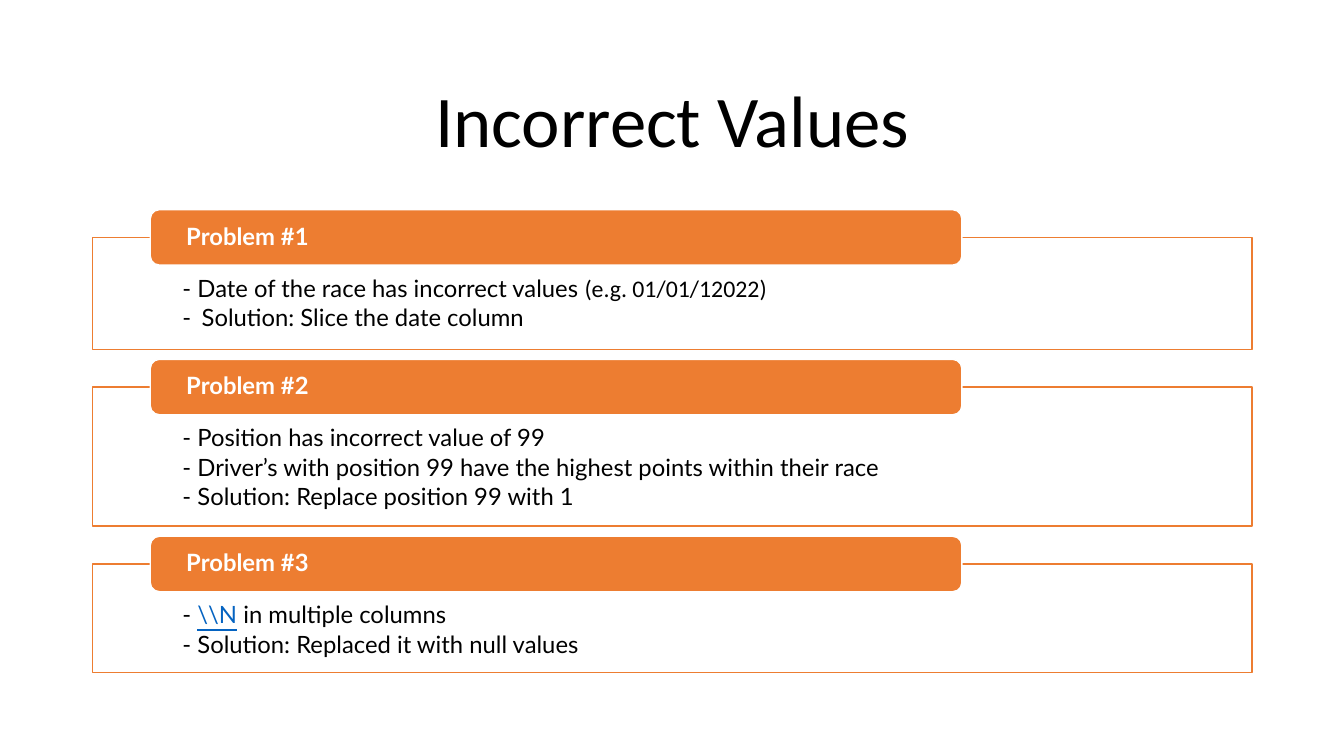
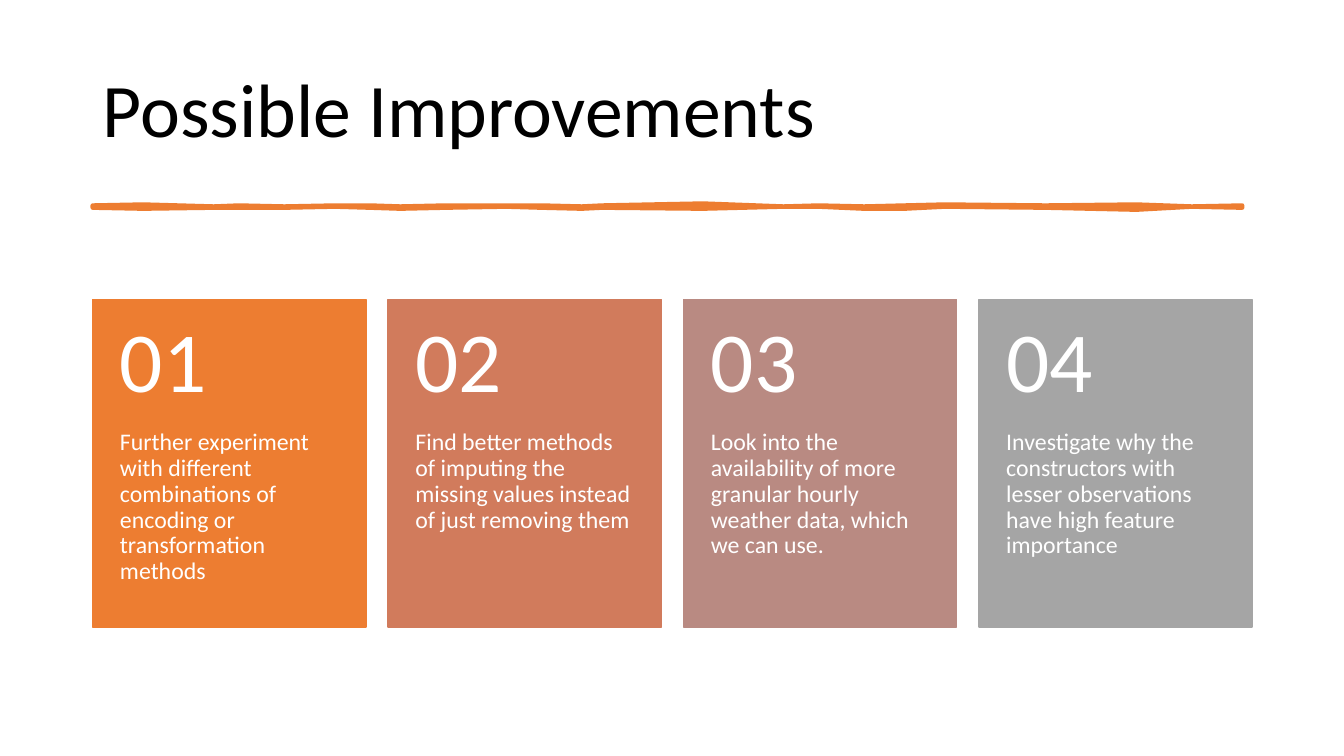
from dataclasses import dataclass

from lxml import etree
from pptx import Presentation
from pptx.dml.color import RGBColor
from pptx.enum.shapes import MSO_SHAPE
from pptx.enum.text import MSO_ANCHOR, PP_ALIGN
from pptx.oxml.ns import qn
from pptx.util import Inches, Pt

RECT, ROUND_RECT = MSO_SHAPE.RECTANGLE, MSO_SHAPE.ROUNDED_RECTANGLE
TOP, MIDDLE = MSO_ANCHOR.TOP, MSO_ANCHOR.MIDDLE
LEFT, CENTER = PP_ALIGN.LEFT, PP_ALIGN.CENTER


@dataclass(frozen=True)
class Theme:
    heading_font: str = "Calibri"
    panel_font: str = "Lato"
    accent: str = "ED7D31"
    ink: str = "000000"
    paper: str = "FFFFFF"
    link: str = "0563C1"
    cards: tuple = ("ED7D31", "D17B5C", "B98A82", "A5A5A5")
    body: float = 17
    number: float = 61
    line: float = 1
    brush: float = 3.25
    spacing: float = 0.9


T = Theme()
MARGIN, CONTENT_W = 0.92, 11.5

# Each panel: heading, height, paragraphs; a run is text plus style changes
PROBLEMS = [
    ("Problem #1", 1.11, [
        [("- Date of the race has incorrect values ", {}),
         ("(e.g. 01/01/12022)", {"font": T.heading_font})],
        [("-\tSolution: Slice the date column", {})]]),
    ("Problem #2", 1.38, [
        [("- Position has incorrect value of 99", {})],
        [("- Driver’s with position 99 have the highest points within their race", {})],
        [("- Solution: Replace position 99 with 1", {})]]),
    ("Problem #3", 1.08, [
        [("- ", {}), ("\\\\N", {"color": T.link, "underline": True}),
         (" in multiple columns", {})],
        [("- Solution: Replaced it with null values", {})]]),
]

IMPROVEMENTS = [
    "Further experiment with different combinations of encoding or transformation methods",
    "Find better methods of imputing the missing values instead of just removing them",
    "Look into the availability of more granular hourly weather data, which we can use.",
    "Investigate why the constructors with lesser observations have high feature importance",
]

# Brush stroke: distance along it, upper edge, lower edge
STROKE = [
    (0, 0, 0.02), (0.5, -0.01, 0.03), (1.2, 0.01, 0.02), (1.45, 0, 0.02),
    (1.9, 0.01, 0.02), (2.4, 0, 0.01), (2.75, 0, 0.02), (3.05, 0.01, 0.03),
    (3.5, 0, 0.02), (4.1, 0, 0.01), (4.45, 0, 0.02), (4.85, 0.01, 0.03),
    (5.05, 0, 0.02), (6.05, -0.02, 0.03), (6.85, 0.01, 0.01),
    (7.2, 0, 0.01), (7.65, 0.01, 0.03), (8.05, 0, 0.03), (8.45, -0.01, 0.01),
    (9.45, 0, 0.02), (10.35, -0.01, 0.04), (10.9, 0.01, 0.01), (11.4, 0, 0.02),
]


def add_run(p, text, size, color, font, bold=False, underline=False):
    r = p.add_run()
    r.text = text
    r.font.size = Pt(size)
    r.font.name = font
    r.font.color.rgb = RGBColor.from_string(color)
    r.font.bold = bold
    r.font.underline = underline


def set_frame(sp, insets=(0.1, 0.05, 0.1, 0.05), anchor=MIDDLE):
    """Insets run left, top, right, bottom."""
    tf = sp.text_frame
    tf.word_wrap = True
    tf.vertical_anchor = anchor
    tf.margin_left, tf.margin_top, tf.margin_right, tf.margin_bottom = map(Inches, insets)
    return tf


def style_paragraph(p, align=LEFT):
    p.alignment = align
    p.line_spacing = T.spacing
    return p


def paint(sp, fill, line, width=T.line):
    sp.shadow.inherit = False
    sp.fill.solid()
    sp.fill.fore_color.rgb = RGBColor.from_string(fill)
    sp.line.color.rgb = RGBColor.from_string(line)
    sp.line.width = Pt(width)


def add_box(s, kind, box, fill, line):
    sp = s.shapes.add_shape(kind, *map(Inches, box))
    paint(sp, fill, line)
    return sp


def add_label(s, box, text, size, color=T.ink, align=LEFT, **frame):
    sp = s.shapes.add_textbox(*map(Inches, box))
    p = style_paragraph(set_frame(sp, **frame).paragraphs[0], align)
    add_run(p, text, size, color, T.heading_font)


def add_panel(s, x, y, w, h, heading, paragraphs):
    """Outlined panel with its heading tab astride the top edge."""
    tab_h = 0.55
    sp = add_box(s, RECT, (x, y + tab_h / 2, w, h), T.paper, T.accent)
    tf = set_frame(sp, (0.89, 0.39, 0.89, 0.13), TOP)
    for i, runs in enumerate(paragraphs):
        p = style_paragraph(tf.add_paragraph() if i else tf.paragraphs[0])
        p.space_after = Pt(2.5)
        pPr = p._p.get_or_add_pPr()
        pPr.set("marL", str(Inches(0.19)))
        pPr.set("indent", str(-Inches(0.19)))
        for text, changes in runs:
            style = {"color": T.ink, "font": T.panel_font, **changes}
            add_run(p, text, T.body, **style)

    # Heading tab
    sp = add_box(s, ROUND_RECT, (x + 0.57, y, w * 0.7, tab_h), T.accent, T.paper)
    p = style_paragraph(set_frame(sp, (0.33, 0, 0.33, 0)).paragraphs[0])
    add_run(p, heading, T.body, T.paper, T.panel_font, bold=True)
    return y + tab_h / 2 + h


def add_brush_line(s, x, y):
    upper = [(x + d, y + top) for d, top, _ in STROKE]
    lower = [(x + d, y + bottom) for d, _, bottom in reversed(STROKE)]
    points = [(Inches(px), Inches(py)) for px, py in upper + lower]
    fb = s.shapes.build_freeform(*points[0])
    fb.add_line_segments(points[1:], close=True)
    sp = fb.convert_to_shape()
    paint(sp, T.accent, T.accent, T.brush)
    etree.SubElement(sp.line._get_or_add_ln(), qn("a:round"))


def add_card(s, x, y, w, h, number, text, color):
    number_h = h * 0.4
    sp = add_box(s, RECT, (x, y, w, h), color, color)
    tf = set_frame(sp, (0.27, number_h, 0.27, 0.36), TOP)
    add_run(style_paragraph(tf.paragraphs[0]), text, T.body, T.paper, T.heading_font)
    add_label(s, (x, y, w, number_h), f"{number:02d}", T.number, T.paper,
              insets=(0.27, 0.18, 0.27, 0.18))


def build_problems(s):
    add_label(s, (MARGIN, 0.61, CONTENT_W, 1.24), "Incorrect Values", 52, align=CENTER)
    y, gap = 2.08, 0.1
    for heading, h, paragraphs in PROBLEMS:
        y = add_panel(s, MARGIN, y, CONTENT_W, h, heading, paragraphs) + gap


def build_improvements(s):
    add_label(s, (MARGIN, 0.4, CONTENT_W, 1.45), "Possible Improvements", 54)
    add_brush_line(s, MARGIN, 2.04)
    card_w, card_h = 2.71, 3.25
    pitch = (CONTENT_W - card_w) / (len(IMPROVEMENTS) - 1)
    for i, (text, color) in enumerate(zip(IMPROVEMENTS, T.cards)):
        add_card(s, MARGIN + i * pitch, 2.97, card_w, card_h, i + 1, text, color)


def main():
    prs = Presentation()
    prs.slide_width, prs.slide_height = Inches(13.33), Inches(7.5)
    for build in (build_problems, build_improvements):
        build(prs.slides.add_slide(prs.slide_layouts[6]))
    prs.save("out.pptx")


if __name__ == "__main__":
    main()
